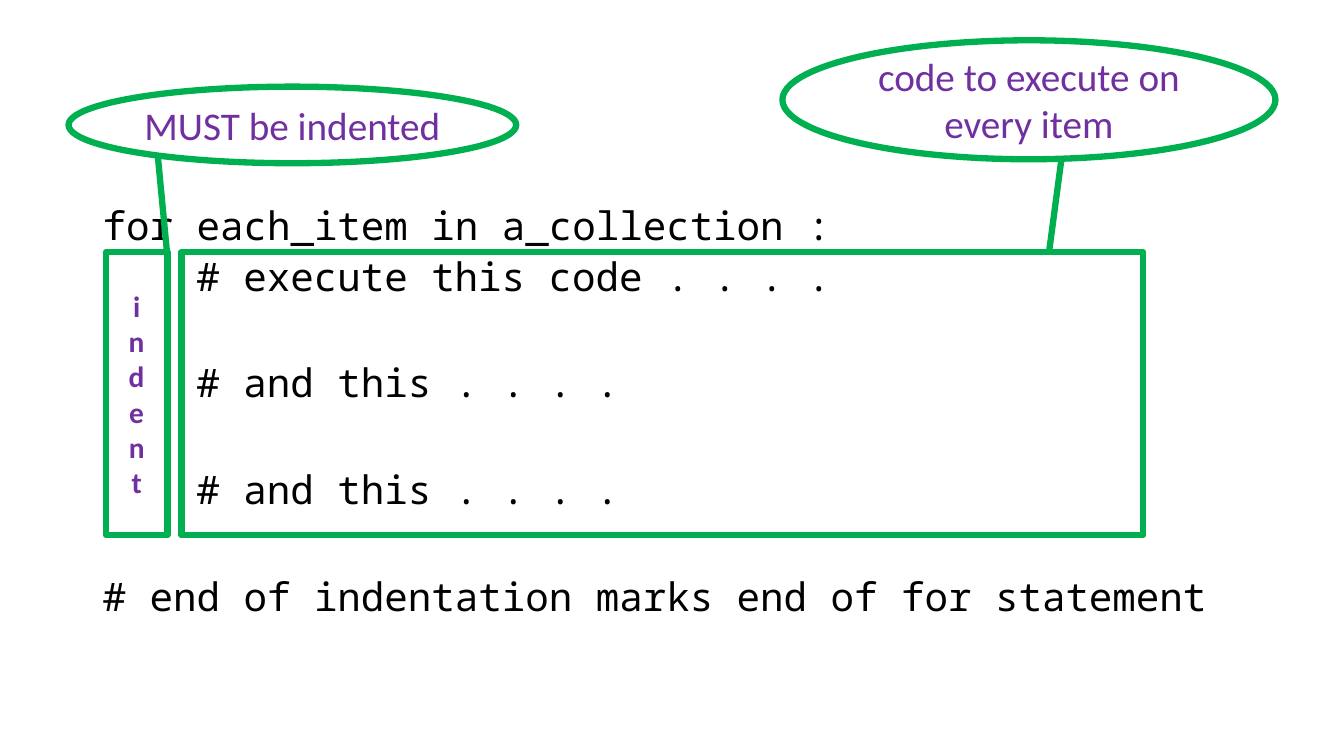
import pptx
from dataclasses import dataclass
from pptx.dml.color import RGBColor
from pptx.enum.shapes import MSO_SHAPE
from pptx.enum.text import MSO_ANCHOR, PP_ALIGN
from pptx.util import Inches, Pt


@dataclass(frozen=True)
class Theme:
    green: RGBColor = RGBColor(0x00, 0xB0, 0x50)
    purple: RGBColor = RGBColor(0x70, 0x30, 0xA0)
    black: RGBColor = RGBColor(0, 0, 0)
    code_font: str = "Noto Sans Mono"
    label_font: str = "Calibri"
    text_size: int = 28
    indent_size: int = 21
    outline: float = 4.5


theme = Theme()


def set_font(para, name, size, color, bold=False):
    para.font.name = name
    para.font.size = Pt(size)
    para.font.color.rgb = color
    para.font.bold = bold


def add_outline(page, kind, left, top, width, height, label="", size=theme.text_size, bold=False):
    """Add an unfilled green shape with an optional centred purple label."""
    shape = page.shapes.add_shape(kind, Inches(left), Inches(top), Inches(width), Inches(height))
    shape.shadow.inherit = False
    shape.fill.background()
    shape.line.color.rgb = theme.green
    shape.line.width = Pt(theme.outline)
    if label:
        frame = shape.text_frame
        frame.word_wrap = True
        frame.vertical_anchor = MSO_ANCHOR.MIDDLE
        para = frame.paragraphs[0]
        para.text = label
        para.alignment = PP_ALIGN.CENTER
        set_font(para, theme.label_font, size, theme.purple, bold)
    return shape


deck = pptx.Presentation()
deck.slide_width = Inches(13.33)
deck.slide_height = Inches(7.5)
page = deck.slides.add_slide(deck.slide_layouts[6])

# Code listing: text, whether it is indented, points of space before
LINE_GAP, BLOCK_GAP = 6, 46
code_lines = [
    ("for each_item in a_collection :", False, 0),
    ("# execute this code . . . .", True, LINE_GAP),
    ("# and this . . . .", True, BLOCK_GAP),
    ("# and this . . . .", True, BLOCK_GAP),
    ("# end of indentation marks end of for statement", False, BLOCK_GAP),
]
code_box = page.shapes.add_textbox(Inches(0.92), Inches(2), Inches(11.5), Inches(4.76))
code_box.text_frame.word_wrap = True
for number, (text, indented, gap) in enumerate(code_lines):
    frame = code_box.text_frame
    para = frame.add_paragraph() if number else frame.paragraphs[0]
    para.text = text
    para.line_spacing = 0.9
    para.space_before = Pt(gap)
    set_font(para, theme.code_font, theme.text_size, theme.black)
    if indented:
        para._p.get_or_add_pPr().set("marL", str(Inches(0.93)))

# Callout boxes around the indent and the loop body
BODY_TOP, BODY_HEIGHT = 2.5, 2.81
indent_box = add_outline(page, MSO_SHAPE.LINE_CALLOUT_1, 1.05, BODY_TOP, 0.61, BODY_HEIGHT,
                         "indent", theme.indent_size, bold=True)
indent_box.text_frame._txBody.bodyPr.set("vert", "wordArtVert")
loop_box = add_outline(page, MSO_SHAPE.LINE_CALLOUT_1, 1.8, BODY_TOP, 9.54, BODY_HEIGHT)

# Leader lines as y, x, y, x fractions of each box
leaders = [(indent_box, (-0.344, 0.843, 0.003, 0.995)), (loop_box, (-0.332, 0.915, 0, 0.902))]
for box, ends in leaders:
    for index, fraction in enumerate(ends):
        box.adjustments[index] = fraction

add_outline(page, MSO_SHAPE.OVAL, 0.68, 0.86, 4.44, 0.76, "MUST be indented")
add_outline(page, MSO_SHAPE.OVAL, 7.76, 0.4, 4.89, 1.18, "code to execute on every item")

deck.save("out.pptx")
